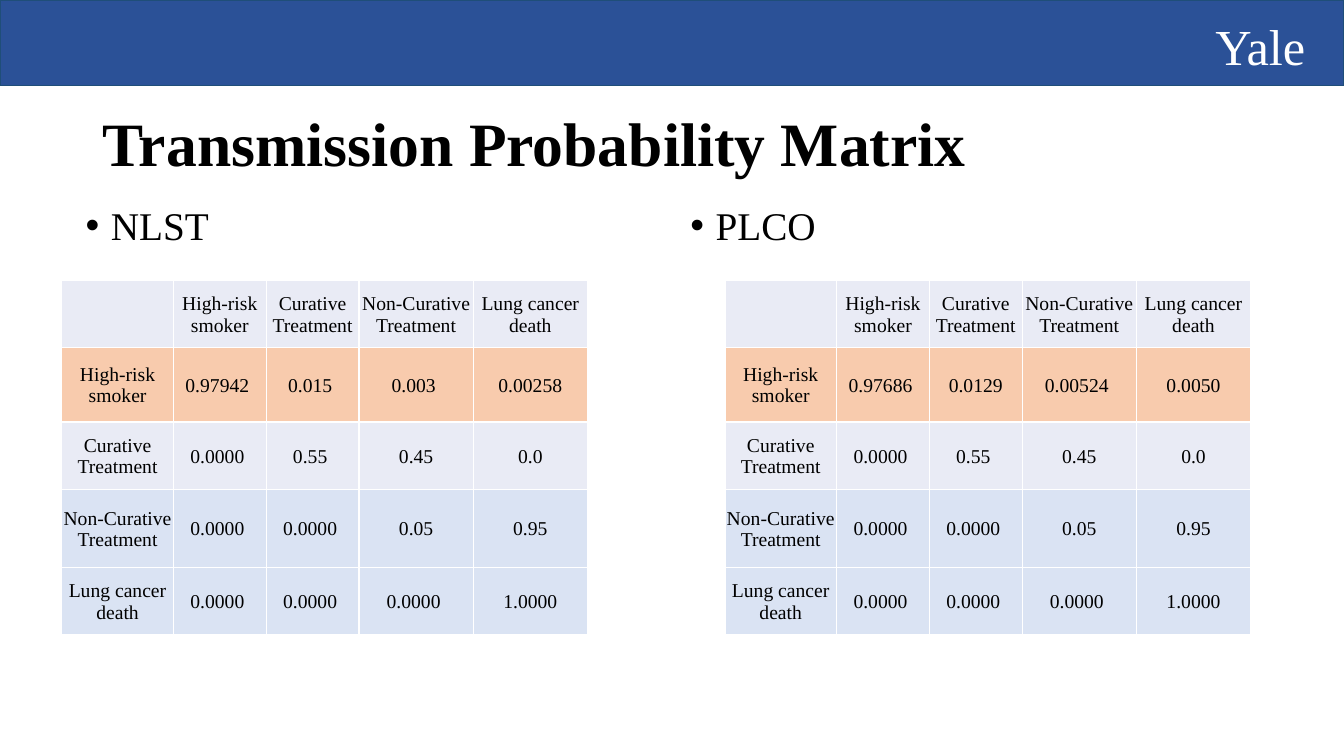
import pptx
import pptx.util
import pptx.dml.color
import pptx.enum.shapes
import pptx.enum.text
from lxml import etree

ALIGN = pptx.enum.text.PP_ALIGN
ANCHOR = pptx.enum.text.MSO_ANCHOR
A = "http://schemas.openxmlformats.org/drawingml/2006/main"
FONT = "Times New Roman"
COLORS = {
    "band": "2B5197", "band_edge": "1F4E79", "white": "FFFFFF", "text": "000000",
    "gray": "E9EBF5", "orange": "F8CBAD", "blue": "DAE3F3",
}

# The slide is a grid of 160 columns by 90 rows of square units
SLIDE_COLS, SLIDE_ROWS = 160, 90
UNIT = pptx.util.Inches(7.5) / SLIDE_ROWS

STATES = ["High-risk smoker", "Curative Treatment", "Non-Curative Treatment",
          "Lung cancer death"]
COLUMN_WIDTHS = [13.3, 11.05, 11.05, 13.6, 13.6]
ROW_HEIGHTS = [8, 8.85, 8.05, 9.3, 8]
ROW_FILLS = ["gray", "orange", "gray", "blue", "blue"]
SHARED_ROWS = [
    ["0.0000 ", "0.55 ", "0.45", "0.0"],
    ["0.0000 ", "0.0000 ", "0.05", "0.95"],
    ["0.0000 ", "0.0000 ", "0.0000 ", "1.0000"],
]


def units(count):
    return round(count * UNIT)


def color(key):
    return pptx.dml.color.RGBColor.from_string(COLORS[key])


def place(part, box):
    part.left, part.top, part.width, part.height = map(units, box)


def add_run(paragraph, text, size, color_key="text", bold=False):
    run = paragraph.add_run()
    run.text = text
    run.font.name = FONT
    run.font.size = pptx.util.Pt(size)
    run.font.bold = bold
    run.font.color.rgb = color(color_key)


def add_header(slide, box):
    left, top, width, height = box
    band = slide.shapes.add_shape(pptx.enum.shapes.MSO_SHAPE.RECTANGLE,
                                  *map(units, box))
    band.shadow.inherit = False
    band.fill.solid()
    band.fill.fore_color.rgb = color("band")
    band.line.color.rgb = color("band_edge")
    band.line.width = pptx.util.Pt(1)

    # University name at the right end of the band
    university = slide.shapes.add_textbox(
        units(left + width - 16.5), units(top + 1.2), units(14.3), units(8.5))
    university.text_frame.word_wrap = True
    add_run(university.text_frame.paragraphs[0], "Yale", 36, "white")


def fill_title(title, box):
    place(title, box)
    frame = title.text_frame
    frame.auto_size = pptx.enum.text.MSO_AUTO_SIZE.NONE
    frame.vertical_anchor = ANCHOR.MIDDLE
    heading = frame.paragraphs[0]
    heading.alignment = ALIGN.LEFT
    heading.line_spacing = 0.9
    add_run(heading, "Transmission Probability Matrix", 44, bold=True)


def fill_trial_name(body, box, trial):
    place(body, box)
    body.text_frame.auto_size = pptx.enum.text.MSO_AUTO_SIZE.NONE
    bullet = body.text_frame.paragraphs[0]
    properties = bullet._p.get_or_add_pPr()
    properties.set("marL", str(units(3)))
    properties.set("indent", str(-units(3)))
    etree.SubElement(properties, f"{{{A}}}buFont", typeface="Arial")
    etree.SubElement(properties, f"{{{A}}}buChar", char="•")
    bullet.line_spacing = 0.9
    bullet.space_before = pptx.util.Pt(0)
    add_run(bullet, trial, 28)


def add_borders(cell):
    properties = cell._tc.get_or_add_tcPr()
    for position, side in enumerate(["lnL", "lnR", "lnT", "lnB"]):
        border = etree.Element(f"{{{A}}}{side}", w=str(pptx.util.Pt(1)))
        fill = etree.SubElement(border, f"{{{A}}}solidFill")
        etree.SubElement(fill, f"{{{A}}}srgbClr", val=COLORS["white"])
        properties.insert(position, border)


def format_cell(cell, text, fill_key):
    cell.fill.solid()
    cell.fill.fore_color.rgb = color(fill_key)
    add_borders(cell)
    cell.vertical_anchor = ANCHOR.MIDDLE
    cell.margin_left = cell.margin_right = cell.margin_top = pptx.util.Inches(0.01)
    cell.margin_bottom = 0
    if text:
        entry = cell.text_frame.paragraphs[0]
        entry.alignment = ALIGN.CENTER
        add_run(entry, text, 14)


def add_matrix(slide, left, top, smoker_row):
    probabilities = [smoker_row] + SHARED_ROWS
    rows = [[""] + STATES]
    rows += [[state] + values for state, values in zip(STATES, probabilities)]
    matrix = slide.shapes.add_table(
        len(rows), len(rows[0]), units(left), units(top),
        units(sum(COLUMN_WIDTHS)), units(sum(ROW_HEIGHTS))).table
    matrix.first_row = matrix.horz_banding = False
    for column, width in zip(matrix.columns, COLUMN_WIDTHS):
        column.width = units(width)
    for row, height, texts, fill_key in zip(matrix.rows, ROW_HEIGHTS, rows, ROW_FILLS):
        row.height = units(height)
        for cell, text in zip(row.cells, texts):
            format_cell(cell, text, fill_key)


def main():
    deck = pptx.Presentation()
    deck.slide_width = units(SLIDE_COLS)
    deck.slide_height = units(SLIDE_ROWS)
    slide = deck.slides.add_slide(deck.slide_layouts.get_by_name("Two Content"))
    title, nlst, plco = slide.placeholders

    add_header(slide, (0, 0, SLIDE_COLS, 10.2))
    fill_title(title, (11, 12.6, 138, 9.6))

    # One trial on each half: its name above its matrix
    fill_trial_name(nlst, (9, 24, 68, 57), "NLST")
    add_matrix(slide, 7.35, 33.4, ["0.97942 ", "0.015 ", "0.003 ", "0.00258"])
    fill_trial_name(plco, (81, 24, 79, 59), "PLCO")
    add_matrix(slide, 86.3, 33.4, ["0.97686 ", "0.0129", "0.00524 ", "0.0050"])

    deck.save("out.pptx")


if __name__ == "__main__":
    main()
